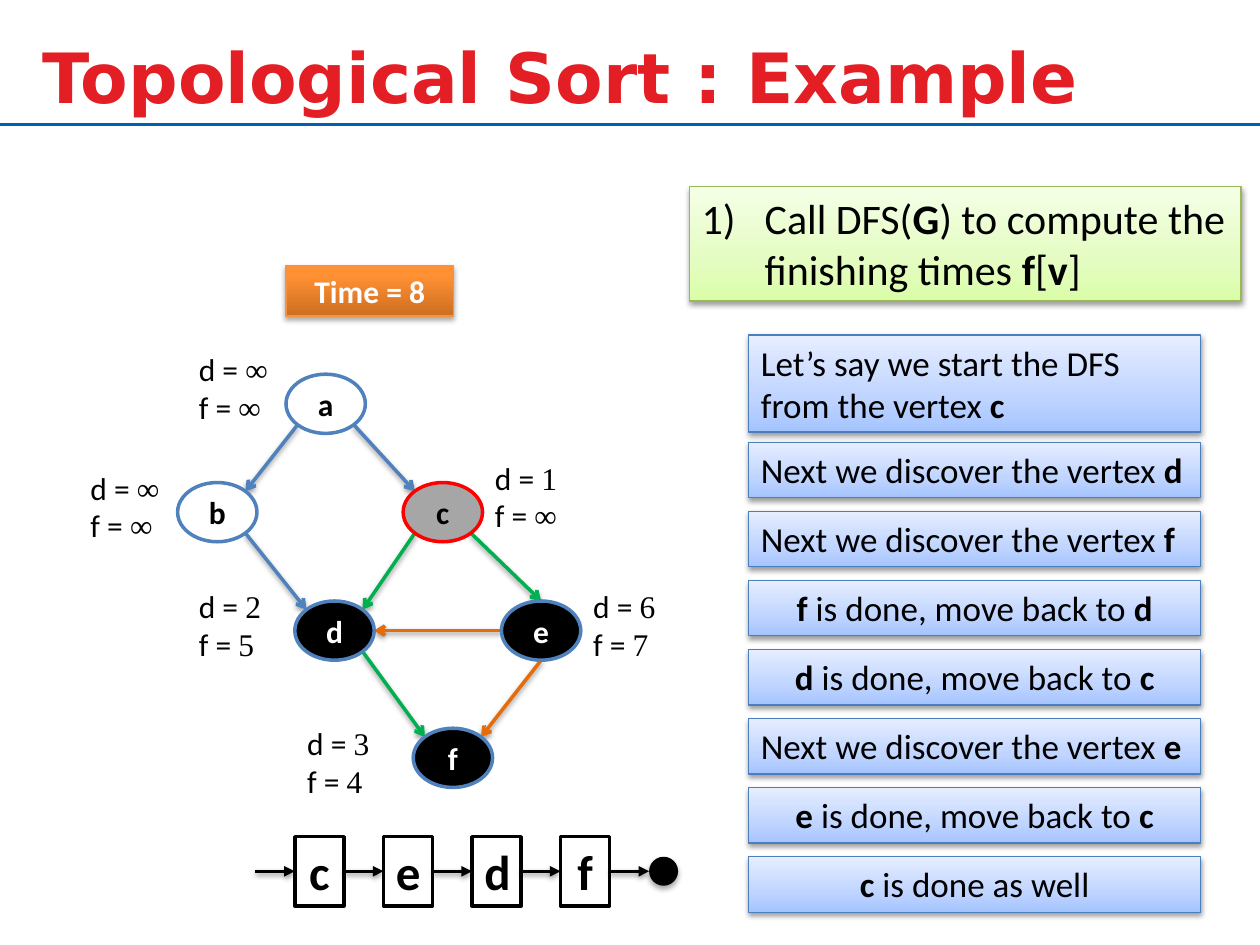
import copy
import math

import lxml.etree
import pptx
import pptx.dml.color
import pptx.enum.shapes
import pptx.enum.text
import pptx.oxml.ns
import pptx.util

# Content: a star in a text switches to the second style and back
TITLE = "Topological Sort : Example"
TASK = "Call DFS(*G*) to compute the finishing times *f*[*v*]"
CLOCK = "Time = 8"
STEPS = [
    ("Let’s say we start the DFS from the vertex *c", "left"),
    ("Next we discover the vertex *d", "left"),
    ("Next we discover the vertex *f", "left"),
    ("*f *is done, move back to *d", "center"),
    ("*d *is done, move back to *c", "center"),
    ("Next we discover the vertex *e", "left"),
    ("*e *is done, move back to *c", "center"),
    ("*c *is done as well", "center"),
]
BLUE, GREEN, RUST = "4F81BD", "00B050", "E46C0A"
BLACK, WHITE, RED = "000000", "FFFFFF", "FF0000"
# Vertex: left, top, fill, outline, text colour, d, f, label left, label top
NODES = {
    "a": (22.7, 29.7, WHITE, BLUE, BLACK, "∞", "∞", 14.8, 27.3),
    "b": (14.1, 38.3, WHITE, BLUE, BLACK, "∞", "∞", 6.2, 36.7),
    "c": (32, 38.3, "A6A6A6", RED, BLACK, "1", "∞", 38.3, 35.9),
    "d": (23.4, 47.7, BLACK, BLUE, WHITE, "2", "5", 14.8, 46.1),
    "e": (39.8, 47.7, BLACK, BLUE, WHITE, "6", "7", 46.1, 46.1),
    "f": (32.8, 57.8, BLACK, BLUE, WHITE, "3", "4", 23.4, 57),
}
EDGES = [
    ("a", "SW", "b", "NE", BLUE), ("a", "SE", "c", "NW", BLUE),
    ("e", "W", "d", "E", RUST), ("c", "SE", "e", "N", GREEN),
    ("b", "SE", "d", "NW", BLUE), ("c", "SW", "d", "NE", GREEN),
    ("d", "SE", "f", "NW", GREEN), ("e", "S", "f", "NE", RUST),
]
CHAIN = "cedf"

# Styles: gradient stops, shadow as (alpha %, blur, distance)
SKY = [(0, "A4C4FF"), (0.35, "BFD4FF"), (1, "E6EEFF")]
LIME = [(0, "DAFDA7"), (0.35, "E4FCC2"), (1, "F5FFE7")]
FLAME = [(0, "CC6E20"), (0.8, "FF9034"), (1, "FF9136")]
SOFT, DEEP = (38, 3.1, 1.6), (35, 3.1, 1.8)
ANGLES = {"E": 0, "SE": 45, "S": 90, "SW": 135, "W": 180, "NW": 225, "NE": 315, "N": 270}

# Grid: 100 columns by 75 rows
COLS, ROWS = 100, 75
NODE_W, NODE_H = 6.3, 4.7
qn = pptx.oxml.ns.qn
SHAPE = pptx.enum.shapes.MSO_SHAPE

deck = pptx.Presentation()
deck.slide_width = pptx.util.Inches(10)
deck.slide_height = pptx.util.Inches(7.5)
slide = deck.slides.add_slide(deck.slide_layouts[5])
parts = slide.shapes


def grid(*vals):
    """Turn left, top, width, height in grid cells into slide lengths."""
    cells = (deck.slide_width / COLS, deck.slide_height / ROWS)
    return [round(val * cells[i % 2]) for i, val in enumerate(vals)]


def tint(code):
    return pptx.dml.color.RGBColor.from_string(code)


def write(part, *lines, size=18, color=BLACK, font="Calibri", bold=False,
          alt_font=None, align="left", anchor="top", number=False):
    frame = part.text_frame
    frame.word_wrap = True
    frame.auto_size = pptx.enum.text.MSO_AUTO_SIZE.NONE
    frame.vertical_anchor = getattr(pptx.enum.text.MSO_ANCHOR, anchor.upper())
    for i, line in enumerate(lines):
        para = frame.add_paragraph() if i else frame.paragraphs[0]
        para.alignment = getattr(pptx.enum.text.PP_ALIGN, align.upper())
        if number:
            props = para._p.get_or_add_pPr()
            props.set("marL", "457200")
            props.set("indent", "-457200")
            lxml.etree.SubElement(props, qn("a:buFont"), typeface="+mj-lt")
            lxml.etree.SubElement(props, qn("a:buAutoNum"), type="arabicParenR")
            para.font.size = pptx.util.Pt(size)
        for j, words in enumerate(line.split("*")):
            if not words:
                continue
            run = para.add_run()
            run.text = words
            run.font.size = pptx.util.Pt(size)
            run.font.color.rgb = tint(color)
            alt = j % 2 == 1
            run.font.name = alt_font if alt and alt_font else font
            run.font.bold = bold or (alt and not alt_font)


def shade(part, shadow):
    props = part._element.spPr
    list_ = lxml.etree.SubElement(props, qn("a:effectLst"))
    if shadow:
        alpha, blur, dist = shadow
        outer = lxml.etree.SubElement(
            list_, qn("a:outerShdw"), blurRad=str(pptx.util.Pt(blur)),
            dist=str(pptx.util.Pt(dist)), dir="5400000", rotWithShape="0")
        color = lxml.etree.SubElement(outer, qn("a:srgbClr"), val=BLACK)
        lxml.etree.SubElement(color, qn("a:alpha"), val=str(alpha * 1000))


def draw(kind, box, fill, line=None, width=2, shadow=None):
    part = parts.add_shape(kind, *grid(*box))
    if isinstance(fill, str):
        part.fill.solid()
        part.fill.fore_color.rgb = tint(fill)
    else:
        part.fill.gradient()
        part.fill.gradient_angle = 90
        stops = part._element.spPr.find(".//" + qn("a:gsLst"))
        stops.append(copy.deepcopy(stops[0]))
        for stop, (pos, code) in zip(part.fill.gradient_stops, fill):
            stop.position = pos
            stop.color.rgb = tint(code)
    if line:
        part.line.color.rgb = tint(line)
        part.line.width = pptx.util.Pt(width)
    else:
        part.line.fill.background()
    shade(part, shadow)
    return part


def link(start, end, color, head=None, shadow=SOFT):
    kind = pptx.enum.shapes.MSO_CONNECTOR.STRAIGHT
    wire = parts.add_connector(kind, *grid(*start, *end))
    wire.line.color.rgb = tint(color)
    wire.line.width = pptx.util.Pt(2)
    if head:
        lxml.etree.SubElement(wire.line._get_or_add_ln(), qn("a:tailEnd"), type=head)
    shade(wire, shadow)
    return wire


def site(name, side):
    """Point on the rim of a vertex."""
    left, top = NODES[name][:2]
    turn = math.radians(ANGLES[side])
    return (left + NODE_W / 2 * (1 + math.cos(turn)),
            top + NODE_H / 2 * (1 + math.sin(turn)))


# Title and rule
title = parts.title
title.left, title.top, title.width, title.height = grid(-0.5, -0.2, 90, 12.5)
write(title, TITLE, size=39.6, color="E31E24", font="DejaVu Sans", bold=True,
      align="center", anchor="middle")
link((0, 9.9), (COLS, 9.9), "0060AA", shadow=None)

# Graph: edges, then vertices with their times
for start, out, end, into, color in EDGES:
    link(site(start, out), site(end, into), color, "arrow")
for name, (left, top, fill, line, ink, found, done, tag_x, tag_y) in NODES.items():
    node = draw(SHAPE.OVAL, (left, top, NODE_W, NODE_H), fill, line)
    write(node, name, color=ink, bold=True, align="center", anchor="middle")
    tag = parts.add_textbox(*grid(tag_x, tag_y, 9.4, 7.1))
    write(tag, f"d = *{found}", f"f = *{done}", alt_font="Times New Roman")

# Clock and task
clock = draw(SHAPE.RECTANGLE, (22.7, 21.1, 13.3, 4), FLAME, "F69240", 0.75, DEEP)
write(clock, CLOCK, color=WHITE, bold=True, align="center")
task = draw(SHAPE.RECTANGLE, (54.7, 14.8, 43.8, 9.1), LIME, "98B955", 0.75, SOFT)
write(task, TASK, size=24, number=True)

# Steps: a tall first box, then equal rows
FIRST, LAST = 35.1, 68
pitch = (LAST - FIRST) / (len(STEPS) - 2)
for i, (words, align) in enumerate(STEPS):
    top, high = (FIRST + (i - 1) * pitch, 4.4) if i else (26.6, 7.7)
    step = draw(SHAPE.RECTANGLE, (59.4, top, 35.9, high), SKY, "4B7EBC", 0.75, SOFT)
    write(step, words, size=20, align=align)

# Linked list, ending in a dot
BOX_W, GAP, MID = 3.9, 3.13, 69.15
left, last = 23.4, None
for name in CHAIN:
    box = draw(SHAPE.RECTANGLE, (left, 66.4, BOX_W, 5.5), WHITE, BLACK)
    write(box, name, size=28, bold=True, align="center", anchor="middle")
    wire = link((left - GAP, MID), (left, MID), BLACK, "triangle")
    if last:
        wire.begin_connect(last, 3)
    wire.end_connect(box, 1)
    left, last = left + BOX_W + GAP, box
wire = link((left - GAP, MID), (left, MID), BLACK, "triangle")
wire.begin_connect(last, 3)
draw(SHAPE.OVAL, (left, 68, 2.3, 2.3), BLACK, shadow=DEEP)

deck.save("out.pptx")
